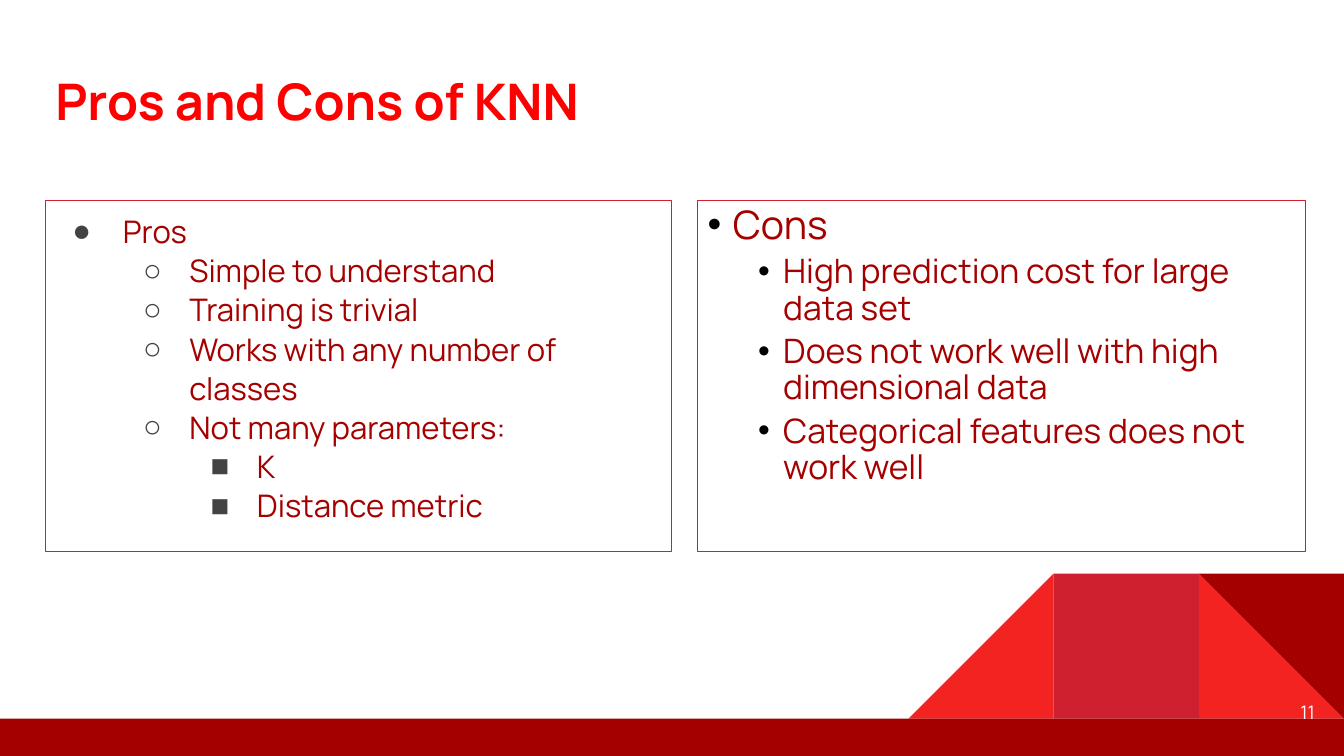
from lxml.etree import SubElement
from pptx import Presentation
from pptx.dml.color import RGBColor
from pptx.enum.shapes import MSO_SHAPE as Shape
from pptx.enum.text import MSO_ANCHOR as Anchor, PP_ALIGN as Align
from pptx.oxml.ns import qn
from pptx.util import Pt

PX = 9144
FONT = "Manrope"
WHITE = RGBColor(0xFF, 0xFF, 0xFF)
BLACK = RGBColor(0x00, 0x00, 0x00)
GRAY = RGBColor(0x43, 0x43, 0x43)
RED = RGBColor(0xFF, 0x00, 0x00)
LIGHT = RGBColor(0xF3, 0x23, 0x21)
ROSE = RGBColor(0xCE, 0x20, 0x2F)
DARK = RGBColor(0xA5, 0x00, 0x00)

deck = Presentation()
deck.slide_width = 1333 * PX
deck.slide_height = 750 * PX
slide = deck.slides.add_slide(deck.slide_layouts[6])


def add_box(kind, left, top, width, height):
    box = slide.shapes.add_shape(kind, left * PX, top * PX, width * PX, height * PX)
    box.shadow.inherit = False
    box.fill.background()
    box.line.fill.background()
    frame = box.text_frame
    frame.word_wrap = True
    frame.vertical_anchor = Anchor.TOP
    frame.margin_left = frame.margin_right = 10 * PX
    frame.margin_top = frame.margin_bottom = 10 * PX
    return box


def add_run(para, text, size, color, bold=False):
    run = para.add_run()
    run.text = text
    run.font.name = FONT
    run.font.size = Pt(size)
    run.font.color.rgb = color
    run.font.bold = bold


SIDE = 144
TOP = 569
tiles = [
    (Shape.RIGHT_TRIANGLE, 1189, TOP, SIDE, SIDE, LIGHT, 0, False),
    (Shape.RIGHT_TRIANGLE, 901, TOP, SIDE, SIDE, LIGHT, 0, True),
    (Shape.RECTANGLE, 1045, TOP, SIDE, SIDE, ROSE, 0, False),
    (Shape.RIGHT_TRIANGLE, 1189, TOP, SIDE, SIDE, DARK, 180, False),
    (Shape.RECTANGLE, 0, 713, 1333, 37, DARK, 0, False),
]
for kind, left, top, width, height, color, turn, flip in tiles:
    tile = add_box(kind, left, top, width, height)
    tile.fill.solid()
    tile.fill.fore_color.rgb = color
    tile.rotation = turn
    if flip:
        tile.element.spPr.find(qn("a:xfrm")).set("flipH", "1")

title = add_box(Shape.RECTANGLE, 45, 60, 1242, 89).text_frame.paragraphs[0]
title.alignment = Align.LEFT
add_run(title, "Pros and Cons of KNN", 36, RED, True)

pros = [
    (0, "Pros"),
    (1, "Simple to understand"),
    (1, "Training is trivial"),
    (1, "Works with any number of classes"),
    (1, "Not many parameters:"),
    (2, "K"),
    (2, "Distance metric"),
]
cons = [
    (0, "Cons"),
    (1, "High prediction cost for large data set"),
    (1, "Does not work well with high dimensional data"),
    (1, "Categorical features does not work well"),
]
pro_rows = [(67, 50, "●", 22.2, 0), (133, 46, "○", 22.2, 0), (200, 46, "■", 22.2, 0)]
con_rows = [(25, 25, "•", 28, 10), (75, 25, "•", 24, 5)]
panels = [
    (45, 621, 10, pros, pro_rows, 1.05, GRAY),
    (692, 603, 5, cons, con_rows, 0.9, BLACK),
]
for left, width, inset, items, rows, pitch, tint in panels:
    panel = add_box(Shape.RECTANGLE, left, 199, width, 348)
    panel.line.color.rgb = ROSE
    panel.line.width = Pt(0.75)
    frame = panel.text_frame
    frame.margin_top = frame.margin_bottom = inset * PX
    for num, (level, text) in enumerate(items):
        para = frame.add_paragraph() if num else frame.paragraphs[0]
        indent, hang, mark, size, gap = rows[level]
        para.level = level
        para.alignment = Align.LEFT
        para.line_spacing = pitch
        para.space_before = Pt(gap)
        props = para._p.get_or_add_pPr()
        props.set("marL", str(indent * PX))
        props.set("indent", str(-hang * PX))
        shade = SubElement(props, qn("a:buClr"))
        SubElement(shade, qn("a:srgbClr"), val=str(tint))
        SubElement(props, qn("a:buFont"), typeface="Arial")
        SubElement(props, qn("a:buChar"), char=mark)
        add_run(para, text, size, DARK)

page = add_box(Shape.RECTANGLE, 1234, 678, 80, 57).text_frame
page.vertical_anchor = Anchor.MIDDLE
page.paragraphs[0].alignment = Align.RIGHT
add_run(page.paragraphs[0], "11", 13.3, WHITE)

deck.save("out.pptx")
